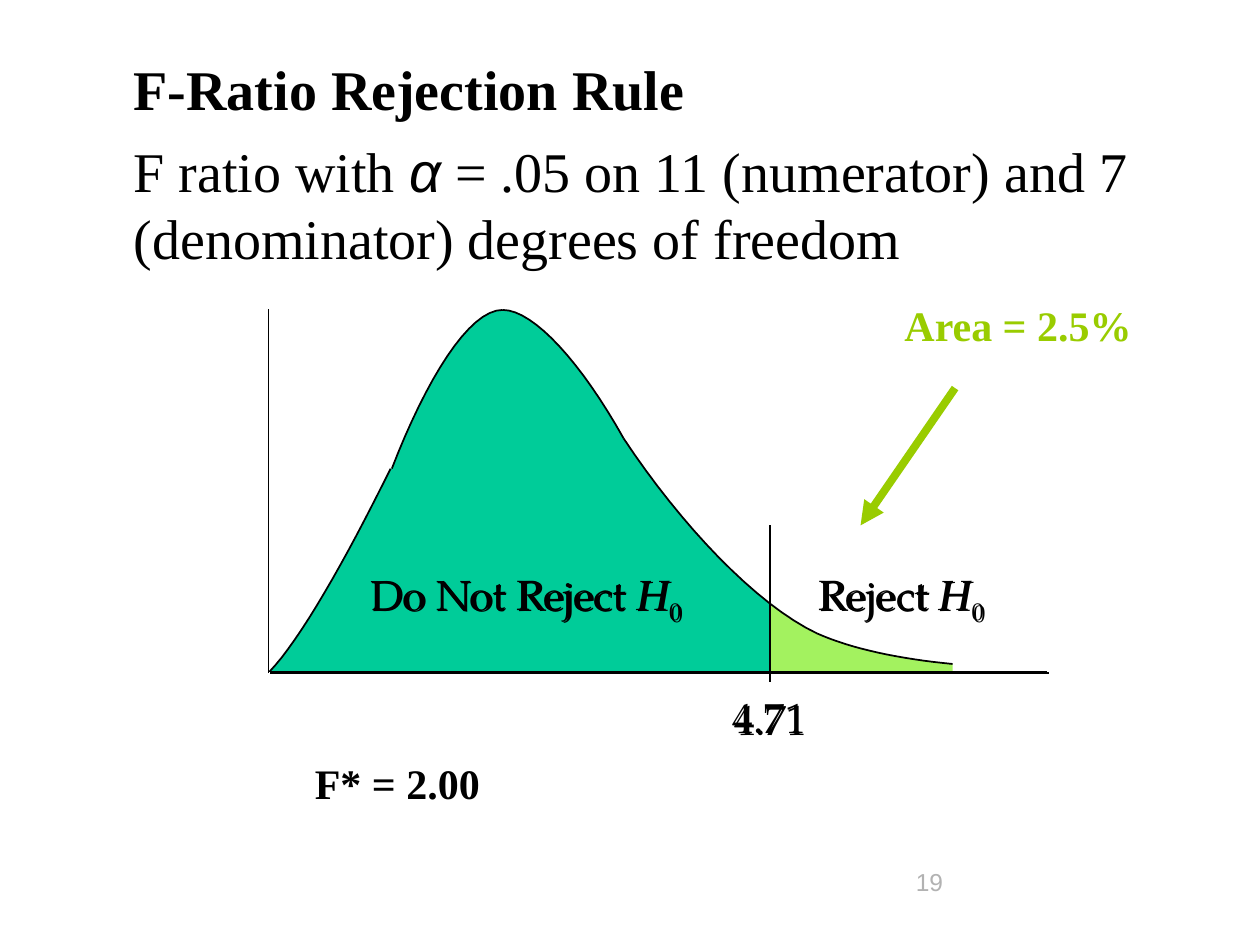
from lxml import etree
from pptx import Presentation
from pptx.dml.color import RGBColor
from pptx.enum.shapes import MSO_CONNECTOR
from pptx.enum.text import MSO_ANCHOR, MSO_AUTO_SIZE, PP_ALIGN
from pptx.oxml.ns import qn
from pptx.util import Inches, Pt

STRAIGHT = MSO_CONNECTOR.STRAIGHT
TOP = MSO_ANCHOR.TOP
NO_AUTOFIT = MSO_AUTO_SIZE.NONE
LEFT = PP_ALIGN.LEFT
CENTER = PP_ALIGN.CENTER

SERIF = "Times New Roman"
LABEL_FONT = "TeX Gyre Pagella"
BLACK = "000000"
GREEN = "99CC00"
BASELINE = 5.33
CRITICAL = 6.12

CURVES = [
    [(2.14, 5.33), (2.38, 5.08), (2.74, 4.45), (3.1, 3.72)],
    [(3.11, 3.72), (3.38, 3.02), (3.72, 2.46), (3.99, 2.46)],
    [(3.99, 2.46), (4.24, 2.46), (4.62, 2.89), (4.95, 3.48)],
    [(4.95, 3.48), (5.4, 4.16), (6, 4.8), (6.49, 5.03)],
    [(6.49, 5.03), (6.76, 5.15), (7.14, 5.23), (7.56, 5.27)],
]
REGIONS = [
    (2.72, CRITICAL, "00CC99"),
    (2.14, 2.8, "00CC99"),
    (CRITICAL, 7.56, "A3F25F"),
]


def color(value):
    return RGBColor.from_string(value)


def set_effects(shape, shadow=False):
    effects = etree.SubElement(shape._element.spPr, qn("a:effectLst"))
    if shadow:
        outer = etree.SubElement(effects, qn("a:outerShdw"), dist="17780",
                                 dir="2700000", algn="ctr", rotWithShape="0")
        etree.SubElement(outer, qn("a:srgbClr"), val=BLACK)


def write_text(shape, runs, size=24, font=SERIF, fill=BLACK, bold=False,
               align=LEFT, wrap=False):
    frame = shape.text_frame
    frame.word_wrap = wrap
    frame.auto_size = NO_AUTOFIT
    frame.vertical_anchor = TOP
    paragraph = frame.paragraphs[0]
    paragraph.alignment = align
    paragraph.line_spacing = 1.0
    paragraph.space_before = Pt(0)
    for text, changes in runs:
        run = paragraph.add_run()
        run.text = text
        run.font.size = Pt(size)
        run.font.name = changes.get("font", font)
        run.font.bold = bold
        run.font.italic = changes.get("italic", False)
        run.font.color.rgb = color(fill)
        if "baseline" in changes:
            run._r.get_or_add_rPr().set("baseline", changes["baseline"])
    return paragraph


def place(shape, left, top, width, height):
    shape.left, shape.top = Inches(left), Inches(top)
    shape.width, shape.height = Inches(width), Inches(height)


def add_label(slide, box, runs, shadow=False, **text_format):
    label = slide.shapes.add_textbox(*map(Inches, box))
    write_text(label, runs, **text_format)
    if shadow:
        set_effects(label, shadow=True)


def add_line(slide, start, end, fill=BLACK, width=1, arrow=False, shadow=False):
    line = slide.shapes.add_connector(STRAIGHT, *map(Inches, start + end))
    line.line.color.rgb = color(fill)
    line.line.width = Pt(width)
    if arrow:
        etree.SubElement(line.line._get_or_add_ln(), qn("a:tailEnd"), type="triangle")
    set_effects(line, shadow)


def sample_curve(controls, steps=16):
    weights = (1, 3, 3, 1)
    points = []
    for step in range(steps + 1):
        t = step / steps
        blend = [w * t ** i * (1 - t) ** (3 - i) for i, w in enumerate(weights)]
        points.append(tuple(sum(b * point[axis] for b, point in zip(blend, controls))
                            for axis in (0, 1)))
    return points


def height_at(points, x):
    for (x1, y1), (x2, y2) in zip(points, points[1:]):
        if x1 <= x <= x2 and x1 < x2:
            return y1 + (y2 - y1) * (x - x1) / (x2 - x1)
    return points[-1][1]


def add_outline(slide, points, fill=None):
    scaled = [(Inches(x), Inches(y)) for x, y in points]
    builder = slide.shapes.build_freeform(*scaled[0])
    builder.add_line_segments(scaled[1:], close=fill is not None)
    outline = builder.convert_to_shape()
    outline.shadow.inherit = False
    if fill:
        outline.fill.solid()
        outline.fill.fore_color.rgb = color(fill)
        outline.line.fill.background()
    else:
        outline.fill.background()
        outline.line.color.rgb = color(BLACK)
        outline.line.width = Pt(1)


def add_distribution(slide):
    curves = [sample_curve(controls) for controls in CURVES]
    points = [point for curve in curves for point in curve]
    for low, high, fill in REGIONS:
        inside = [point for point in points if low < point[0] < high]
        edge = [(low, height_at(points, low))] + inside + [(high, height_at(points, high))]
        add_outline(slide, [(low, BASELINE)] + edge + [(high, BASELINE)], fill)
    add_line(slide, (2.13, BASELINE), (8.31, BASELINE), shadow=True)
    for curve in curves:
        add_outline(slide, curve)
    add_line(slide, (6.11, 4.17), (6.11, 5.41))
    add_line(slide, (2.13, 5.34), (2.13, 2.45))


def add_heading(slide):
    title, body = slide.shapes.title, slide.placeholders[1]
    place(title, 0.96, 0.38, 8.12, 0.65)
    write_text(title, [("F-Ratio Rejection Rule", {})], size=32, bold=True, wrap=True)
    place(body, 0.96, 1.03, 8.12, 1.2)
    paragraph = write_text(body, [
        ("F ratio with ", {}),
        ("α", {"font": "Arial", "italic": True}),
        (" = .05 on 11 (numerator) and 7 (denominator) degrees of freedom", {}),
    ], size=32, wrap=True)
    properties = paragraph._p.get_or_add_pPr()
    properties.set("marL", "0")
    properties.set("indent", "0")
    etree.SubElement(properties, qn("a:buNone"))


def main():
    presentation = Presentation()
    presentation.slide_width = Inches(10)
    presentation.slide_height = Inches(7.5)
    slide = presentation.slides.add_slide(presentation.slide_layouts[1])
    add_heading(slide)
    add_distribution(slide)

    hypothesis = [("H", {"italic": True}), ("0", {"baseline": "-25000"})]
    add_label(slide, (5.6, 5.44, 1.01, 0.5), [("4.71", {})],
              font=LABEL_FONT, align=CENTER, shadow=True)
    add_label(slide, (2.84, 4.46, 2.79, 0.55), [("Do Not Reject ", {})] + hypothesis,
              font=LABEL_FONT, shadow=True)
    add_label(slide, (6.4, 4.46, 1.61, 0.55), [("Reject ", {})] + hypothesis,
              font=LABEL_FONT, shadow=True)
    add_line(slide, (7.58, 3.08), (6.83, 4.17), fill=GREEN, width=4.5, arrow=True)
    add_label(slide, (7.08, 2.33, 2.01, 0.5), [("Area = 2.5%", {})], fill=GREEN, bold=True)
    add_label(slide, (2.4, 5.96, 1.51, 0.5), [("F* = 2.00", {})], bold=True)
    add_label(slide, (7.17, 6.83, 2.08, 0.5), [("19", {})],
              size=14, font="Arial", fill="B2B2B2", wrap=True)
    presentation.save("out.pptx")


if __name__ == "__main__":
    main()
